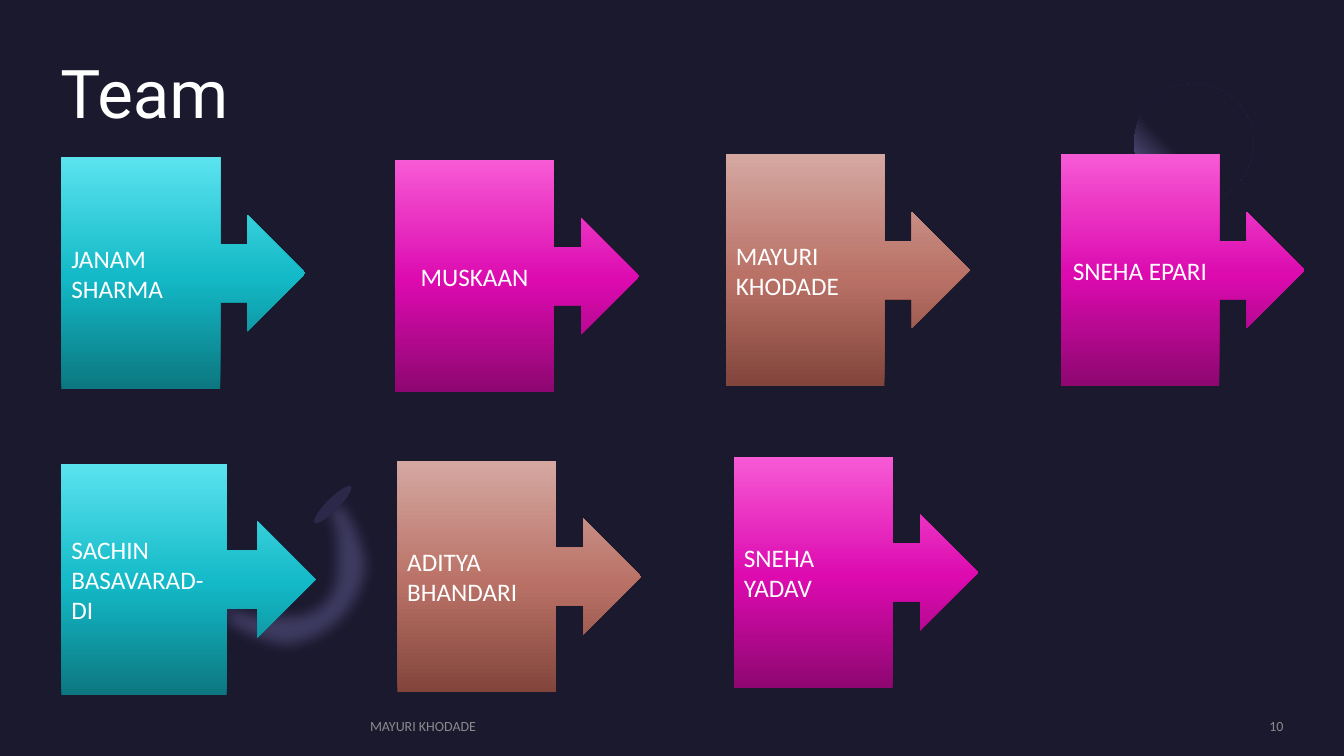
from math import cos, pi, sin, sqrt

from lxml import etree
from pptx import Presentation
from pptx.dml.color import RGBColor
from pptx.enum.shapes import MSO_SHAPE
from pptx.enum.text import MSO_ANCHOR, PP_ALIGN
from pptx.oxml.ns import qn
from pptx.util import Inches, Pt

NIGHT = RGBColor(0x1B, 0x19, 0x2E)
LAVENDER = RGBColor(0x77, 0x71, 0xB2)
DUSK = RGBColor(0x2C, 0x28, 0x4A)
WHITE = RGBColor(0xFF, 0xFF, 0xFF)
FOOTER_GREY = RGBColor(0x8A, 0x8A, 0x8E)

# Gradients run from the bottom of a callout to its top.
TEAL = [(0, RGBColor(0x0C, 0x77, 0x80)), (48, RGBColor(0x13, 0xB9, 0xC7)),
        (100, RGBColor(0x5A, 0xE3, 0xEF))]
PINK = [(0, RGBColor(0x8E, 0x07, 0x71)), (48, RGBColor(0xDC, 0x0A, 0xAF)),
        (100, RGBColor(0xF7, 0x5A, 0xD5))]
CLAY = [(0, RGBColor(0x82, 0x45, 0x3B)), (48, RGBColor(0xBA, 0x72, 0x67)),
        (100, RGBColor(0xD4, 0xA8, 0xA1))]

CALLOUT_WIDTH, CALLOUT_HEIGHT = 2.42, 2.3
TEAM = [
    ("JANAM SHARMA", 0.61, 1.56, CALLOUT_WIDTH, TEAL, PP_ALIGN.LEFT),
    ("MUSKAAN", 3.92, 1.59, CALLOUT_WIDTH, PINK, PP_ALIGN.CENTER),
    ("SNEHA YADAV", 7.28, 4.53, CALLOUT_WIDTH, PINK, PP_ALIGN.LEFT),
    ("ADITYA BHANDARI", 3.94, 4.57, CALLOUT_WIDTH, CLAY, PP_ALIGN.LEFT),
    ("SACHIN BASAVARAD-DI", 0.61, 4.6, 2.52, TEAL, PP_ALIGN.LEFT),
    ("MAYURI KHODADE", 7.2, 1.53, CALLOUT_WIDTH, CLAY, PP_ALIGN.LEFT),
    ("SNEHA EPARI", 10.52, 1.53, CALLOUT_WIDTH, PINK, PP_ALIGN.CENTER),
]


def write(frame, text, size, color=WHITE, font="Calibri", align=PP_ALIGN.LEFT,
          anchor=MSO_ANCHOR.MIDDLE, margin=None, spacing=None):
    frame.word_wrap = True
    frame.vertical_anchor = anchor
    if margin is not None:
        frame.margin_left = frame.margin_right = Inches(margin)
        frame.margin_top = frame.margin_bottom = Inches(margin)
    paragraph = frame.paragraphs[0]
    paragraph.alignment = align
    paragraph.line_spacing = spacing
    run = paragraph.add_run()
    run.text = text
    run.font.size = Pt(size)
    run.font.name = font
    run.font.color.rgb = color


def add_plain_shape(slide, kind, left, top, width, height):
    """Add a preset shape without line or shadow."""
    shape = slide.shapes.add_shape(
        kind, Inches(left), Inches(top), Inches(width), Inches(height))
    shape.line.fill.background()
    shape.shadow.inherit = False
    return shape


def fill_gradient(shape, stops):
    """Fill upwards with (percent, colour) stops; return the gradient element."""
    shape.fill.gradient()
    shape.fill.gradient_angle = 90
    gradient = shape._element.spPr.find(qn("a:gradFill"))
    stop_list = gradient.find(qn("a:gsLst"))
    for old_stop in list(stop_list):
        stop_list.remove(old_stop)
    for percent, color in stops:
        stop = etree.SubElement(stop_list, qn("a:gs"), pos=str(percent * 1000))
        etree.SubElement(stop, qn("a:srgbClr"), val=str(color))
    return gradient


def add_moon(slide, left, top, size):
    """Disc that is dark at its upper right and lit at its lower left."""
    moon = add_plain_shape(slide, MSO_SHAPE.OVAL, left, top, size, size)
    gradient = fill_gradient(moon, [(60, NIGHT), (100, LAVENDER)])
    gradient.remove(gradient.find(qn("a:lin")))
    circle = etree.SubElement(gradient, qn("a:path"), path="circle")
    etree.SubElement(circle, qn("a:fillToRect"), l="100000", b="100000")


def add_half_ring(slide, center_x, center_y, chord_radius, depth):
    """Soft half ring that opens to the upper left, with two flat ends."""
    steps = 40

    def arc(scale):
        for step in range(steps + 1):
            along = scale * chord_radius * cos(pi * step / steps) / sqrt(2)
            out = scale * depth * sin(pi * step / steps) / sqrt(2)
            yield Inches(center_x + along + out), Inches(center_y - along + out)

    outline = list(arc(1)) + list(arc(0.5))[::-1]
    builder = slide.shapes.build_freeform(*outline[0])
    builder.add_line_segments(outline[1:], close=True)
    glow = builder.convert_to_shape()
    glow.line.fill.background()
    glow.fill.solid()
    glow.fill.fore_color.rgb = LAVENDER
    properties = glow._element.spPr
    color = properties.find(qn("a:solidFill")).find(qn("a:srgbClr"))
    etree.SubElement(color, qn("a:alpha"), val="40000")
    glow.shadow.inherit = False
    effects = properties.find(qn("a:effectLst"))
    etree.SubElement(effects, qn("a:softEdge"), rad=str(Pt(10)))

    for left, top in [(3.24, 4.75), (2.17, 5.82)]:
        ring_end = add_plain_shape(slide, MSO_SHAPE.OVAL, left, top, 0.12, 0.51)
        ring_end.rotation = 45
        ring_end.fill.solid()
        ring_end.fill.fore_color.rgb = DUSK


def add_title(slide, text, left, top, width, height):
    title = slide.shapes.title
    title.left, title.top = Inches(left), Inches(top)
    title.width, title.height = Inches(width), Inches(height)
    write(title.text_frame, text, 48, font="Roboto", anchor=MSO_ANCHOR.TOP,
          margin=0, spacing=0.9)


def add_member(slide, name, left, top, width, gradient, align):
    callout = add_plain_shape(slide, MSO_SHAPE.RIGHT_ARROW_CALLOUT,
                              left, top, width, CALLOUT_HEIGHT)
    fill_gradient(callout, gradient)
    write(callout.text_frame, name, 18, align=align)


def add_footer(slide, top, height):
    for text, left, width, align in [
            ("MAYURI KHODADE", 3.67, 6.98, PP_ALIGN.LEFT),
            ("10", 10.88, 1.85, PP_ALIGN.RIGHT)]:
        box = slide.shapes.add_textbox(
            Inches(left), Inches(top), Inches(width), Inches(height))
        write(box.text_frame, text, 10, color=FOOTER_GREY, align=align, margin=0)


def main():
    deck = Presentation()
    deck.slide_width, deck.slide_height = Inches(13.33), Inches(7.5)
    slide = deck.slides.add_slide(deck.slide_layouts[5])
    slide.background.fill.solid()
    slide.background.fill.fore_color.rgb = NIGHT

    add_moon(slide, 11.25, 0.83, 1.18)
    add_half_ring(slide, 2.65, 5.42, 1.01, 1.2)
    add_title(slide, "Team", 0.6, 0.6, 9.06, 1.37)
    for member in TEAM:
        add_member(slide, *member)
    add_footer(slide, 7.12, 0.17)
    deck.save("out.pptx")


if __name__ == "__main__":
    main()
